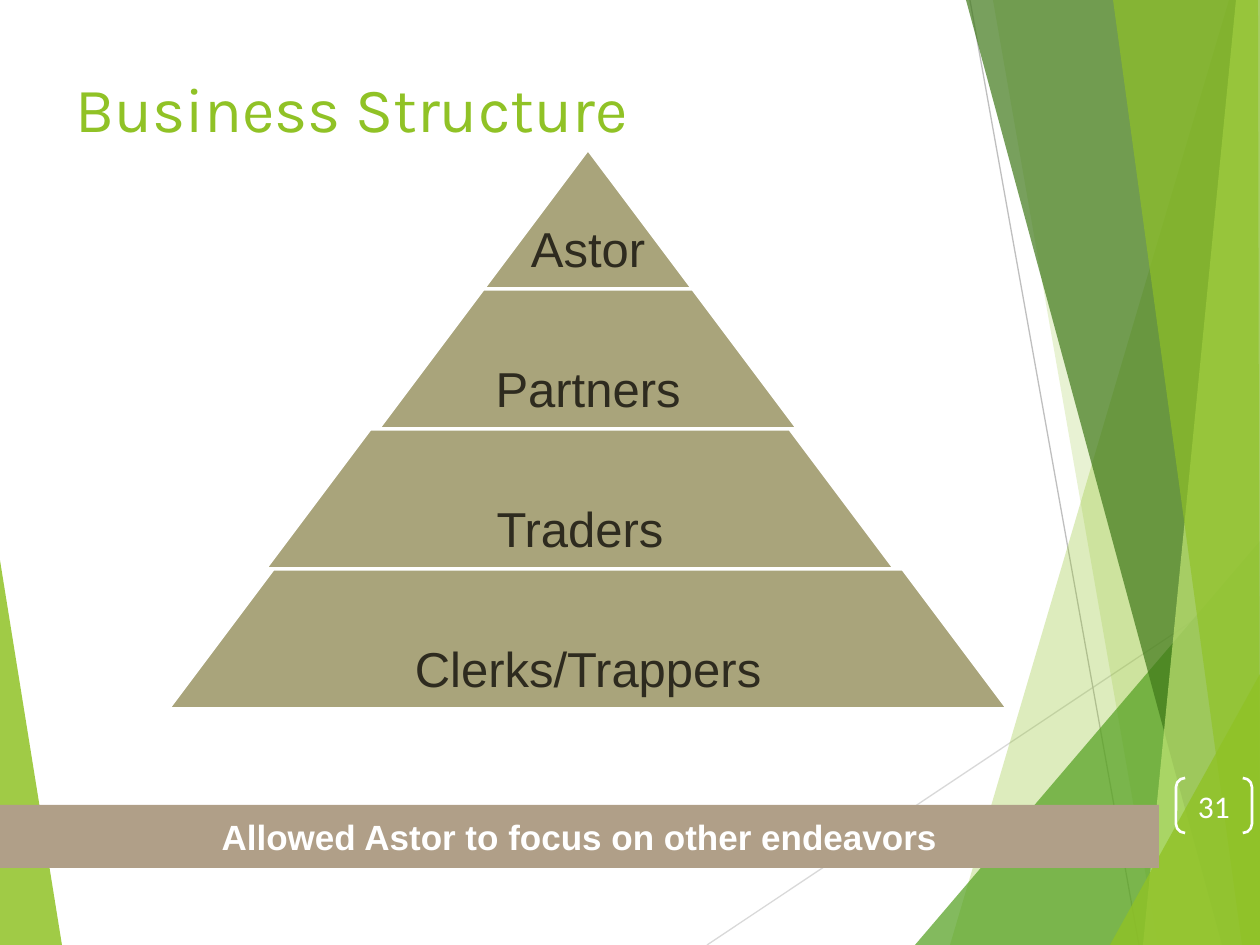
from lxml import etree
from pptx import Presentation
from pptx.dml.color import RGBColor
from pptx.enum.shapes import MSO_CONNECTOR, MSO_SHAPE
from pptx.enum.text import MSO_ANCHOR, PP_ALIGN
from pptx.oxml.ns import qn
from pptx.util import Pt

STRAIGHT = MSO_CONNECTOR.STRAIGHT
RECTANGLE, BRACKETS = MSO_SHAPE.RECTANGLE, MSO_SHAPE.DOUBLE_BRACKET
TOP, MIDDLE, BOTTOM = MSO_ANCHOR.TOP, MSO_ANCHOR.MIDDLE, MSO_ANCHOR.BOTTOM
LEFT, CENTER = PP_ALIGN.LEFT, PP_ALIGN.CENTER

WIDTH, HEIGHT = 1260, 945
EMU_PER_PX = 9144000 / WIDTH

# Content
TITLE = "Business Structure"
TIERS = [("Astor", 588), ("Partners", 588), ("Traders", 580), ("Clerks/Trappers", 588)]
BANNER = "Allowed Astor to focus on other endeavors"
PAGE_NUMBER = "31"

GREEN, WHITE, KHAKI, TAUPE, INK = "90C226", "FFFFFF", "A9A47B", "B09F88", "2E2B1F"
PYRAMID_TOP, TIER_HEIGHT, TIER_STEP = 149, 140, 105

# Background: thin lines, then translucent facets (colour, opacity %, corners)
RAYS = [((707, 945), (1260, 576), "D9D9D9"), ((970, 0), (1139, 945), "BFBFBF")]
RIGHT_EDGE = [(WIDTH, HEIGHT), (WIDTH, 0)]
LEFT_FACET = (GREEN, 85, [(0, 560), (62, 945), (0, 945)])
RIGHT_FACETS = [
    (GREEN, 30, [(1229, 0), (950, 945), *RIGHT_EDGE]),
    (GREEN, 20, [(993, 0), (1158, 945), *RIGHT_EDGE]),
    ("54A021", 72, [(915, 945), (1260, 541), (1260, 945)]),
    ("3F7819", 70, [(966, 0), (1222, 945), *RIGHT_EDGE]),
    ("C0E474", 70, [(1236, 0), (1143, 945), *RIGHT_EDGE]),
    (GREEN, 65, [(1113, 0), (1242, 945), (1260, 945), (1258, 0)]),
    (GREEN, 80, [(1110, 945), (1260, 674), (1260, 945)]),
]


def px(length):
    return round(length * EMU_PER_PX)


def rgb(color):
    return RGBColor.from_string(color)


def style(shape, fill=None, line=None, weight=1, opacity=100):
    shape.shadow.inherit = False
    if fill:
        shape.fill.solid()
        shape.fill.fore_color.rgb = rgb(fill)
    else:
        shape.fill.background()
    if line:
        shape.line.color.rgb = rgb(line)
        shape.line.width = Pt(weight)
    else:
        shape.line.fill.background()
    if opacity < 100:
        color = shape.fill._xPr.find(qn("a:solidFill"))[0]
        etree.SubElement(color, qn("a:alpha")).set("val", str(opacity * 1000))


def write(shape, text, size, color, font="Arial", bold=False, align=CENTER,
          anchor=MIDDLE, wrap=True, inset_top=0, inset_bottom=0):
    frame = shape.text_frame
    frame.word_wrap = wrap
    frame.vertical_anchor = anchor
    frame.margin_left = frame.margin_right = 0
    frame.margin_top, frame.margin_bottom = px(inset_top), px(inset_bottom)
    paragraph = frame.paragraphs[0]
    paragraph.alignment = align
    run = paragraph.add_run()
    run.text = text
    run.font.name, run.font.size, run.font.bold = font, Pt(size), bold
    run.font.color.rgb = rgb(color)


def add_polygon(slide, corners, **look):
    builder = slide.shapes.build_freeform(*corners[0], scale=EMU_PER_PX)
    builder.add_line_segments(corners[1:], close=True)
    polygon = builder.convert_to_shape()
    style(polygon, **look)
    return polygon


def add_box(slide, kind, left, top, width, height, **look):
    box = slide.shapes.add_shape(kind, px(left), px(top), px(width), px(height))
    style(box, **look)
    return box


def add_ray(slide, start, end, color):
    ray = slide.shapes.add_connector(STRAIGHT, *map(px, start + end))
    ray.line.color.rgb = rgb(color)
    ray.line.width = Pt(0.75)
    etree.SubElement(ray._element.spPr, qn("a:effectLst"))


def main():
    deck = Presentation()
    deck.slide_width, deck.slide_height = px(WIDTH), px(HEIGHT)
    slide = deck.slides.add_slide(deck.slide_layouts[5])

    # Background
    for ray in RAYS:
        add_ray(slide, *ray)
    for color, opacity, corners in [LEFT_FACET, *RIGHT_FACETS]:
        add_polygon(slide, corners, fill=color, opacity=opacity)

    # Title
    title = slide.shapes.title
    title.left, title.top, title.width, title.height = map(px, (75, 64, 679, 100))
    write(title, TITLE, 36, GREEN, font="Karla", align=LEFT, anchor=TOP, inset_top=6)

    # Pyramid: every tier is one step wider on each side than the one above
    for level, (label, center) in enumerate(TIERS):
        top = PYRAMID_TOP + level * TIER_HEIGHT
        bottom = top + TIER_HEIGHT
        upper, lower = level * TIER_STEP, (level + 1) * TIER_STEP
        corners = [(center - upper, top), (center + upper, top),
                   (center + lower, bottom), (center - lower, bottom)]
        if level == 0:
            corners = corners[1:]
        tier = add_polygon(slide, corners, fill=KHAKI, line=WHITE, weight=2)
        write(tier, label, 28, INK, anchor=BOTTOM, inset_bottom=12)

    # Banner and page number
    banner = add_box(slide, RECTANGLE, 0, 805, 1159, 63, fill=TAUPE)
    write(banner, BANNER, 20, WHITE, bold=True)
    badge = add_box(slide, BRACKETS, 1176, 778, 76, 55, line=WHITE, weight=1.5)
    write(badge, PAGE_NUMBER, 18, WHITE, font="Calibri", wrap=False)

    deck.save("out.pptx")


if __name__ == "__main__":
    main()
